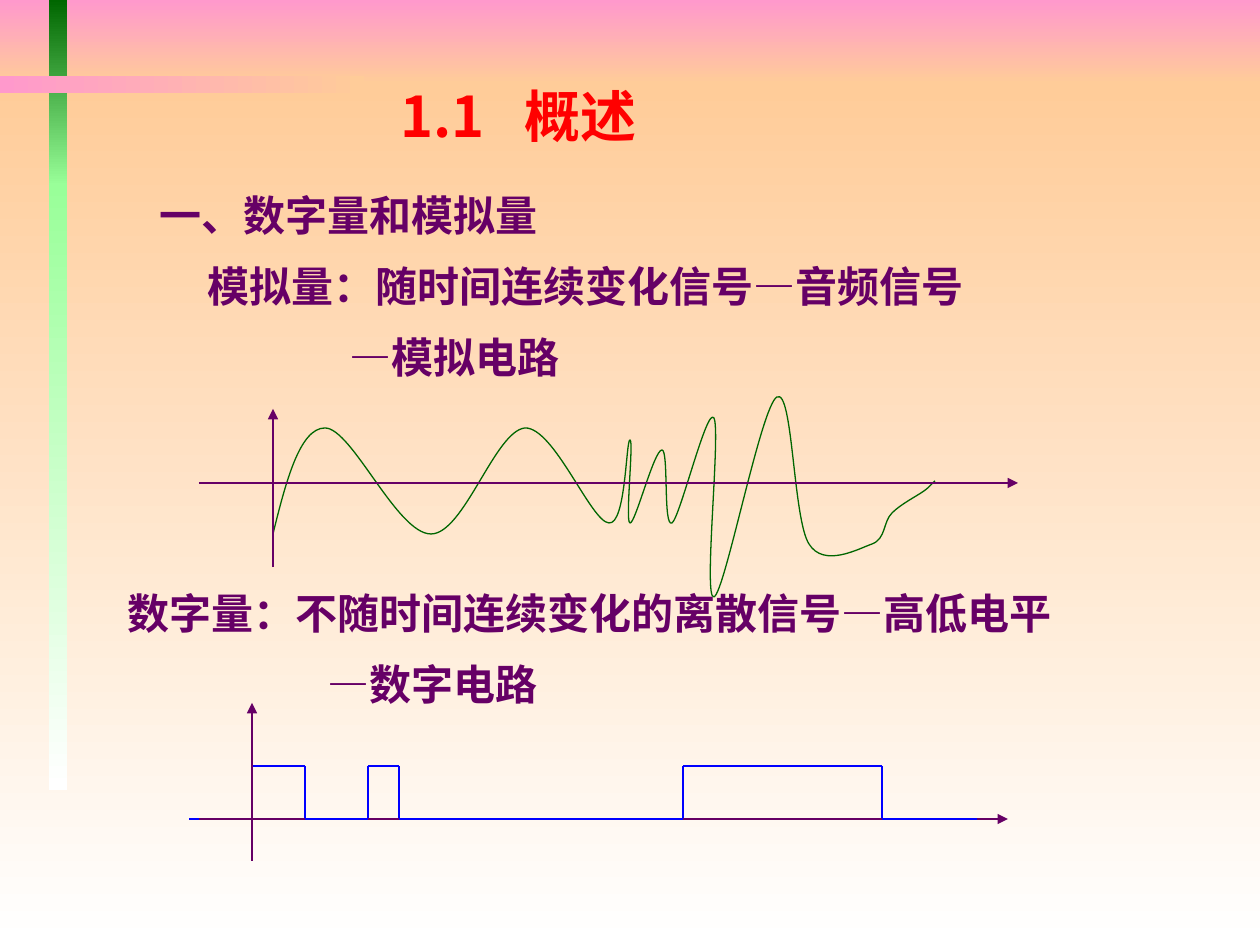
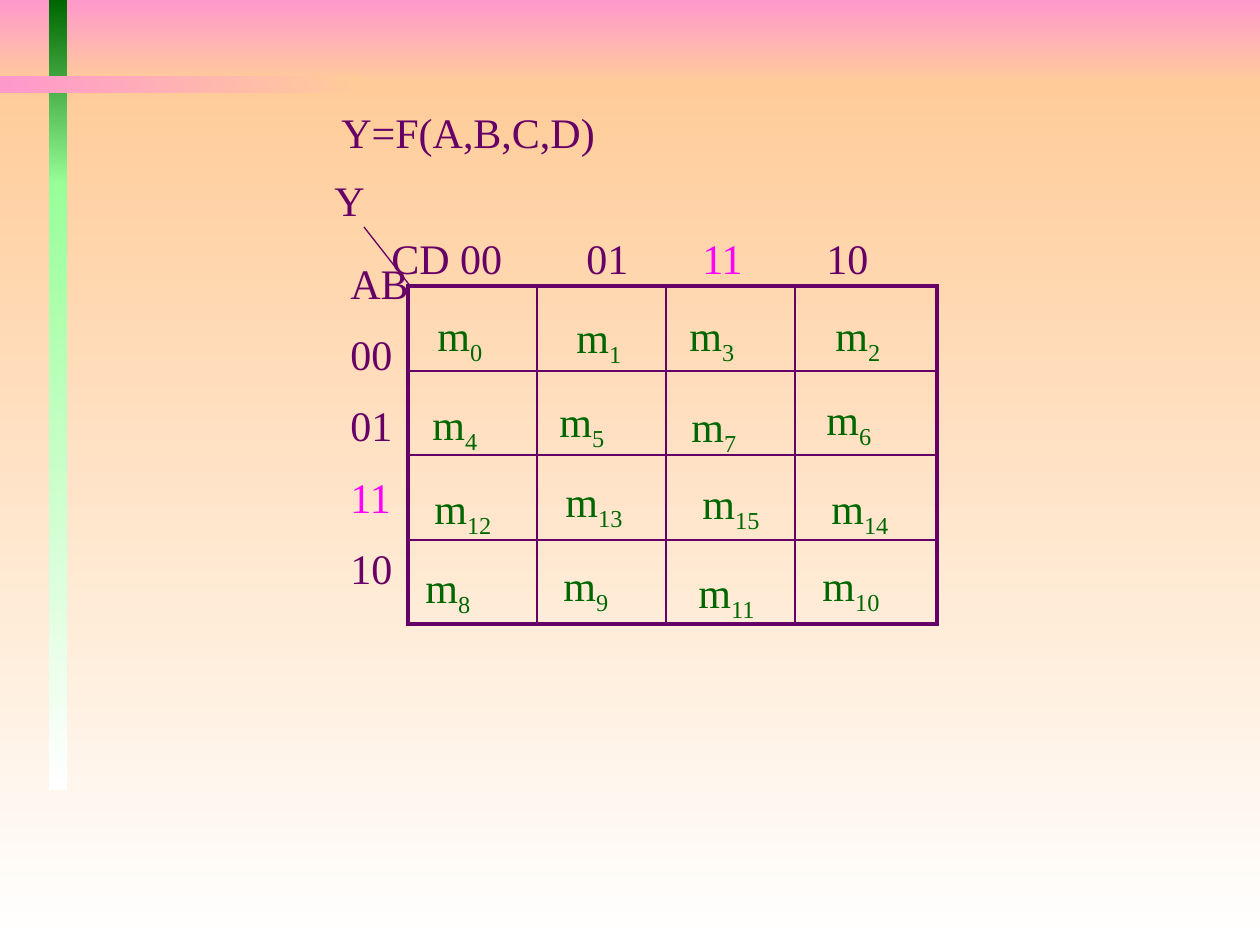
from itertools import product

from lxml.etree import SubElement
from pptx import Presentation
from pptx.dml.color import RGBColor
from pptx.enum.shapes import MSO_CONNECTOR, MSO_SHAPE
from pptx.enum.text import MSO_ANCHOR
from pptx.oxml import parse_xml
from pptx.oxml.ns import nsdecls, qn
from pptx.util import Inches, Pt

PX = Inches(1) / 126  # EMU in one px
SERIF, SANS = "Times New Roman", "Noto Sans CJK SC"
COLORS = {
    "purple": "660066", "red": "FF0000", "magenta": "FF00FF", "blue": "0000FF",
    "green": "006600", "mint": "99FF99", "pink": "FF99CC", "peach": "FFCC99",
    "white": "FFFFFF",
}
RGB = {name: RGBColor.from_string(value) for name, value in COLORS.items()}


def add_text(slide, box, paragraphs, size=24, font=SERIF, bold=False, tabs=(),
             anchor=MSO_ANCHOR.TOP, line_spacing=None):
    """Add a text box; each paragraph is (indent, [(text, colour), ...])."""
    shape = slide.shapes.add_textbox(*(round(value * PX) for value in box))
    frame = shape.text_frame
    frame.word_wrap = True
    frame.vertical_anchor = anchor
    for number, (indent, pieces) in enumerate(paragraphs):
        paragraph = frame.add_paragraph() if number else frame.paragraphs[0]
        properties = paragraph._p.get_or_add_pPr()
        if indent:
            properties.set("marL", str(round(indent * PX)))
        if line_spacing:
            paragraph.line_spacing = Pt(line_spacing)
        if number:
            paragraph.space_before = Pt(12)
        if tabs:
            tab_list = SubElement(properties, qn("a:tabLst"))
            for position in tabs:
                SubElement(tab_list, qn("a:tab"), pos=str(round(position * PX)), algn="l")
        for text, color in pieces:
            run = paragraph.add_run()
            run.text = text
            run.font.size = Pt(size)
            run.font.bold = bold
            run.font.name = font
            run.font.color.rgb = RGB[color]
            SubElement(run._r.get_or_add_rPr(), qn("a:ea"), typeface=SANS)
    return shape


def add_line(slide, ends, color="purple", width=0.75, arrow=False):
    line = slide.shapes.add_connector(
        MSO_CONNECTOR.STRAIGHT, *(round(value * PX) for value in ends))
    line.line.color.rgb = RGB[color]
    line.line.width = Pt(width)
    if arrow:
        SubElement(line.line._get_or_add_ln(), qn("a:tailEnd"), type="triangle")
    SubElement(line._element.spPr, qn("a:effectLst"))


presentation = Presentation()
presentation.slide_width = Inches(10)
presentation.slide_height = Inches(7.5)
layout = presentation.slide_layouts[6]
signals = presentation.slides.add_slide(layout)
karnaugh = presentation.slides.add_slide(layout)

# Shared background: gradient bands moved to the layout
bands = [
    ((0, 0, 1260, 84), "pink", "peach", 270),
    ((0, 84, 1260, 861), "peach", "white", 270),
    ((49, 0, 18, 186), "green", "mint", 270),
    ((49, 184, 18, 606), "mint", "white", 270),
    ((0, 76, 364, 17), "pink", "peach", 0),
]
for box, start, end, angle in bands:
    band = signals.shapes.add_shape(
        MSO_SHAPE.RECTANGLE, *(round(value * PX) for value in box))
    band.shadow.inherit = False
    band.line.fill.background()
    band.fill.gradient()
    band.fill.gradient_angle = angle
    for stop, color in zip(band.fill.gradient_stops, (start, end)):
        stop.color.rgb = RGB[color]
    layout.shapes.element.append(band.element)

# Slide 1: analogue and digital signals
add_text(signals, (388, 73, 357, 84), [(0, [("1.1\t概述", "red")])],
         size=32, font=SANS, bold=True, tabs=[124], anchor=MSO_ANCHOR.MIDDLE)
add_text(signals, (147, 183, 1113, 290), [
    (0, [("一、数字量和模拟量", "purple")]),
    (48, [("模拟量：随时间连续变化信号—音频信号", "purple")]),
    (190, [("—模拟电路", "purple")]),
], bold=True, line_spacing=28.8)
add_text(signals, (115, 581, 1145, 214), [
    (0, [("数字量：不随时间连续变化的离散信号—高低电平", "purple")]),
    (200, [("—数字电路", "purple")]),
], bold=True, line_spacing=28.8)

# Each Bezier piece: two control points and an end point
wave_start = (273, 534)
wave_pieces = [
    ((286, 481), (300, 428), (325, 428)), ((352, 428), (397, 534), (431, 534)),
    ((464, 534), (495, 431), (525, 428)), ((554, 427), (591, 522), (609, 523)),
    ((626, 525), (626, 440), (630, 440)), ((634, 440), (625, 522), (630, 523)),
    ((635, 525), (654, 450), (662, 450)), ((669, 450), (663, 528), (672, 523)),
    ((680, 518), (707, 406), (714, 418)), ((721, 431), (703, 600), (714, 597)),
    ((725, 593), (761, 406), (777, 397)), ((793, 388), (793, 519), (809, 544)),
    ((824, 568), (858, 549), (872, 544)), ((886, 539), (883, 522), (892, 513)),
    ((901, 504), (917, 496), (924, 491)), ((931, 486), (932, 483), (935, 481)),
]
builder = signals.shapes.build_freeform(*wave_start, scale=PX)
builder.add_line_segments([point for piece in wave_pieces for point in piece], close=False)
wave = builder.convert_to_shape()
wave.shadow.inherit = False
wave.fill.background()
wave.line.color.rgb = RGB["green"]
wave.line.width = Pt(0.75)
# Turn every three straight segments into one cubic curve
outline = next(wave.element.iter(qn("a:path")))
segments = outline.findall(qn("a:lnTo"))
for first in range(0, len(segments), 3):
    curve = SubElement(outline, qn("a:cubicBezTo"))
    for segment in segments[first:first + 3]:
        curve.append(segment[0])
        outline.remove(segment)

LOW, HIGH = 819, 766
add_line(signals, (189, LOW, 252, LOW), "blue", 1.5)
pulses = [(252, 305), (368, 399), (683, 882)]
for rise, fall in pulses:
    add_line(signals, (rise, LOW, rise, HIGH), "blue")
    add_line(signals, (rise, HIGH, fall, HIGH), "blue")
    add_line(signals, (fall, HIGH, fall, LOW), "blue")
for axis in [(199, 483, 1018, 483), (273, 567, 273, 409),
             (199, LOW, 1008, LOW), (252, 861, 252, 703)]:
    add_line(signals, axis, arrow=True)
next_rises = [rise for rise, _ in pulses[1:]] + [977]
for (_, fall), next_rise in zip(pulses, next_rises):
    add_line(signals, (fall, LOW, next_rise, LOW), "blue")

# Slide 2: Karnaugh map
add_text(karnaugh, (329, 100, 630, 63), [(0, [("Y=F(A,B,C,D)", "purple")])])
add_line(karnaugh, (364, 227, 411, 287))
add_text(karnaugh, (322, 168, 66, 63), [(0, [("Y", "purple")])])
row_labels = [("AB", "purple"), ("00", "purple"), ("01", "purple"),
              ("11", "magenta"), ("10", "purple")]
add_text(karnaugh, (338, 251, 112, 365), [(0, [label]) for label in row_labels])
add_text(karnaugh, (379, 226, 504, 63), [
    (0, [("CD 00\t01\t", "purple"), ("11\t", "magenta"), ("10", "purple")]),
], tabs=[195, 311, 435])

column_widths = [129, 129, 129, 142]
row_heights = [85, 84, 85, 84]
table = karnaugh.shapes.add_table(
    4, 4, round(408 * PX), round(286 * PX),
    round(sum(column_widths) * PX), round(sum(row_heights) * PX)).table
table.first_row = table.horz_banding = False
for column, width in zip(table.columns, column_widths):
    column.width = round(width * PX)
for row, height in zip(table.rows, row_heights):
    row.height = round(height * PX)
for row, column in product(range(4), repeat=2):
    cell = table.cell(row, column)
    cell.fill.background()
    outer_sides = {"L": column == 0, "R": column == 3, "T": row == 0, "B": row == 3}
    for position, (side, is_outer) in enumerate(outer_sides.items()):
        border = parse_xml(
            f'<a:ln{side} {nsdecls("a")} w="{Pt(2.25 if is_outer else 1)}"><a:solidFill>'
            f'<a:srgbClr val="{COLORS["purple"]}"/></a:solidFill></a:ln{side}>')
        cell._tc.get_or_add_tcPr().insert(position, border)

minterms = [
    (0, 425, 303), (1, 564, 305), (3, 677, 303), (2, 823, 303),
    (4, 420, 392), (5, 547, 389), (7, 679, 394), (6, 814, 387),
    (12, 422, 476), (13, 553, 469), (15, 690, 471), (14, 819, 476),
    (8, 413, 555), (9, 551, 553), (11, 686, 560), (10, 810, 553),
]
for index, left, top in minterms:
    label = add_text(karnaugh, (left, top, 93, 63),
                     [(0, [("m", "green"), (str(index), "green")])])
    subscript = label.text_frame.paragraphs[0].runs[1]
    subscript._r.get_or_add_rPr().set("baseline", "-25000")

presentation.save("out.pptx")
